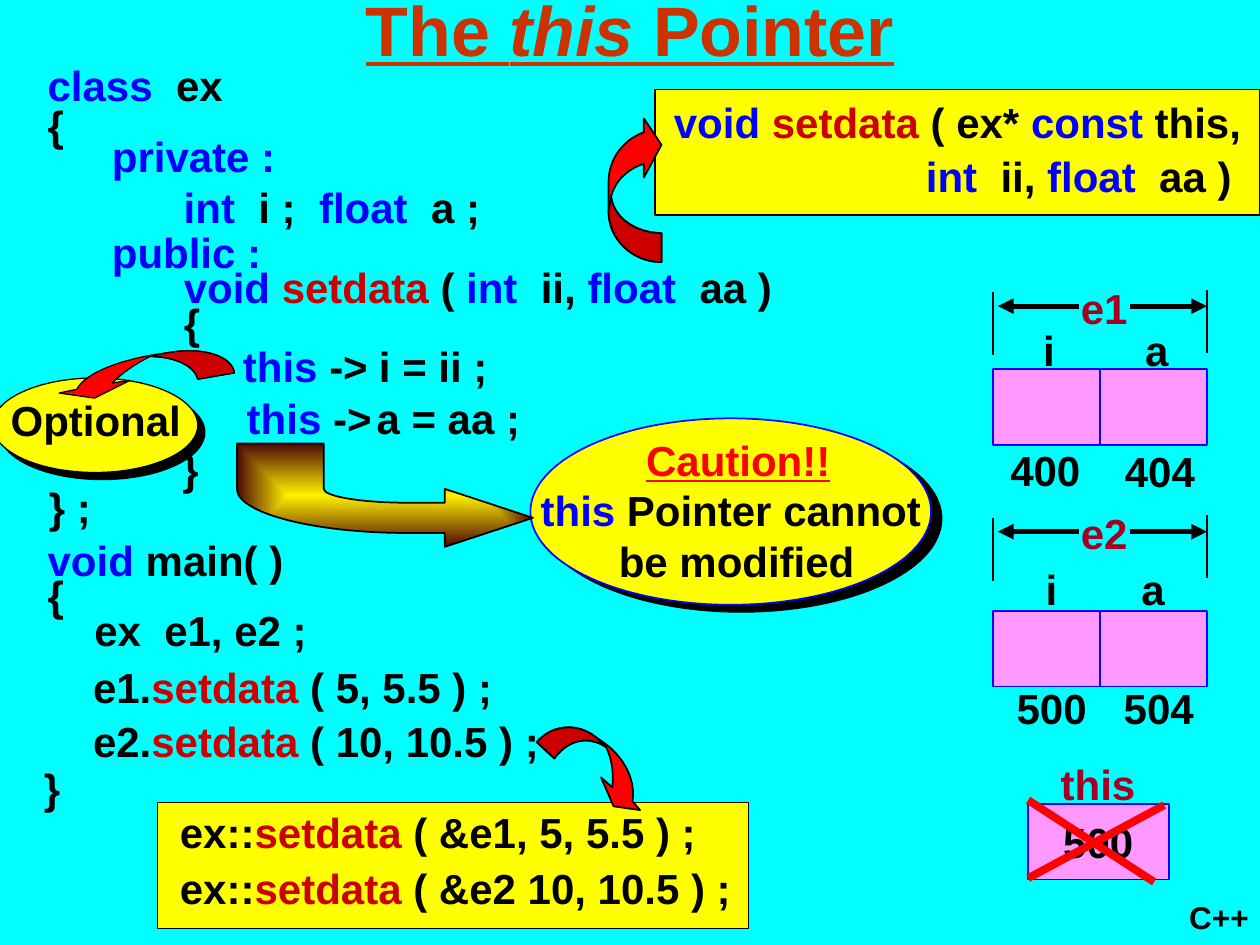
from itertools import cycle

from lxml import etree
from pptx import Presentation
from pptx import util as u
from pptx.dml.color import RGBColor
from pptx.enum import shapes, text
from pptx.oxml import ns

COLORS = {
    "cyan": "00FFFF", "blue": "0000FF", "black": "000000", "crimson": "CC0000",
    "wine": "A50021", "rust": "CC3300", "red": "FF0000", "pink": "FF99FF",
    "yellow": "FFFF00", "gold": "FFF200", "brown": "4D0808",
}
RGB = {name: RGBColor.from_string(value) for name, value in COLORS.items()}
CODE = {"name": "Arial", "size": u.Pt(24), "bold": True}
CENTER = text.PP_ALIGN.CENTER
LEFT = text.PP_ALIGN.LEFT

presentation = Presentation()
presentation.slide_width, presentation.slide_height = u.Inches(10), u.Inches(7.5)
slide = presentation.slides.add_slide(presentation.slide_layouts[5])
slide.background.fill.solid()
slide.background.fill.fore_color.rgb = RGB["cyan"]


def add_runs(paragraph, runs, **extra):
    for content, color in runs:
        for index, line in enumerate(content.split("\n")):
            if index:
                paragraph.add_line_break()
            if line:
                run = paragraph.add_run()
                run.text = line
                for name, value in {**CODE, **extra}.items():
                    setattr(run.font, name, value)
                run.font.color.rgb = RGB[color]


def add_text(box, *paragraphs, align=LEFT, spacings=(), before=15, tabs=(0.57, 1, 2), **extra):
    frame = slide.shapes.add_textbox(*map(u.Inches, box)).text_frame
    frame.word_wrap = bool(spacings)
    frame.auto_size = text.MSO_AUTO_SIZE.SHAPE_TO_FIT_TEXT
    for index, (runs, spacing) in enumerate(zip(paragraphs, cycle(spacings or (None,)))):
        paragraph = frame.add_paragraph() if index else frame.paragraphs[0]
        paragraph.alignment = align
        if spacing:
            paragraph.line_spacing = spacing
            paragraph.space_before = u.Pt(before)
        if any("\t" in content for content, color in runs):
            properties = paragraph._p.get_or_add_pPr()
            stops = etree.SubElement(properties, ns.qn("a:tabLst"))
            for stop in tabs:
                etree.SubElement(stops, ns.qn("a:tab"), pos=str(u.Inches(stop)), algn="l")
        add_runs(paragraph, runs, **extra)


title = slide.shapes.title
title_place = {"left": 2.8, "top": -0.16, "width": 4.4, "height": 0.77}
for name, value in title_place.items():
    setattr(title, name, u.Inches(value))
title.text_frame.auto_size = text.MSO_AUTO_SIZE.NONE
title.text_frame.vertical_anchor = text.MSO_ANCHOR.MIDDLE
heading = title.text_frame.paragraphs[0]
heading.alignment = CENTER
for content, italic in (("The ", False), ("this", True), (" Pointer", False)):
    add_runs(heading, [(content, "rust")], size=u.Pt(40), underline=True, italic=italic)

RECTANGLE = shapes.MSO_SHAPE.RECTANGLE
OVAL = shapes.MSO_SHAPE.OVAL
panels = [
    (RECTANGLE, (8.16, 6.38, 1.12, 0.6), "pink", "blue", 1, None),
    (RECTANGLE, (7.88, 2.93, 1.7, 0.6), "pink", "blue", 1, None),
    (RECTANGLE, (7.88, 4.85, 1.7, 0.6), "pink", "blue", 1, None),
    (RECTANGLE, (1.25, 6.37, 4.69, 1), "yellow", "black", 1, None),
    (RECTANGLE, (5.2, 0.71, 4.8, 1), "yellow", "black", 1, None),
    (OVAL, (4.21, 3.32, 3.18, 1.48), "yellow", "blue", 1, (7.2, 34)),
    (OVAL, (-0.06, 3, 1.63, 0.75), "yellow", "black", 0.75, (5.7, 45)),
]
drawn_panels = []
for kind, box, fill, outline, width, shadow in panels:
    shape = slide.shapes.add_shape(kind, *map(u.Inches, box))
    shape.fill.solid()
    shape.fill.fore_color.rgb = RGB[fill]
    shape.line.color.rgb = RGB[outline]
    shape.line.width = u.Pt(width)
    shape.shadow.inherit = False
    if shadow:
        distance, angle = shadow
        effects = shape._element.spPr.find(ns.qn("a:effectLst"))
        outer = etree.SubElement(effects, ns.qn("a:outerShdw"), dist=str(u.Pt(distance)),
                                 dir=str(angle * 60000), algn="ctr", rotWithShape="0")
        etree.SubElement(outer, ns.qn("a:srgbClr"), val=COLORS["black"])
    drawn_panels.append(shape)

add_text((0.28, 0.5, 2.22, 0.74), [("class  ", "blue"), ("ex\n{", "black")], spacings=(0.8,))
add_text((0.79, 1.16, 3.46, 0.71), [("private :", "blue")],
         [("\tint  ", "blue"), ("i ;  ", "black"), ("float  ", "blue"), ("a ;", "black")],
         spacings=(0.5,))
add_text((0.79, 1.86, 6.09, 0.94),
         [("public :\n\tvoid ", "blue"), ("setdata ", "crimson"), ("( ", "black"), ("int  ", "blue"),
          ("ii, ", "black"), ("float  ", "blue"), ("aa )\n\t{", "black")], spacings=(0.7,))
for left, top in ((1.83, 2.65), (1.86, 3.07)):
    add_text((left, top, 1.19, 0.5), [("this ", "blue"), ("->", "black")])
add_text((0.28, 4.3, 2.29, 0.94), [("void ", "blue"), ("main( )\n{\n\tex  e1, e2 ;", "black")],
         spacings=(0.7,), tabs=(0.37,))
for top, name, arguments in ((5.34, "e1.", "( 5, 5.5 ) ;"), (5.77, "e2.", "( 10, 10.5 ) ;")):
    add_text((0.64, top, 3.76, 0.34),
             [(name, "black"), ("setdata ", "crimson"), (arguments, "black")], spacings=(0.6,))
add_text((1.33, 6.49, 4.67, 0.79),
         *[[("ex::", "black"), ("setdata ", "crimson"), (arguments, "black")]
           for arguments in ("( &e1, 5, 5.5 ) ;", "( &e2 10, 10.5 ) ;")], spacings=(0.6,))
add_text((5.25, 0.83, 4.92, 0.79),
         [("void ", "blue"), ("setdata ", "crimson"), ("( ex* ", "black"), ("const", "blue"),
          (" this,", "black")],
         [("\t\t\tint  ", "blue"), ("ii, ", "black"), ("float  ", "blue"), ("aa )", "black")],
         spacings=(0.7, 0.5))
add_text((4.19, 3.8, 3.22, 0.9), [("this", "blue"), (" Pointer cannot", "black")],
         [(" be modified", "black")], align=CENTER)
add_text((5.03, 3.4, 1.66, 0.5), [("Caution!!", "red")], underline=True)
add_text((-0.33, 3.16, 2.18, 0.42), [("Optional", "black")], align=CENTER, spacings=(0.8,), before=0)
add_text((9.34, 7.08, 0.67, 0.4), [("C++", "black")], size=u.Pt(18))

labels = [
    ("}", "black", 1.35, 3.47, 0.33), ("a = aa ;", "black", 2.89, 3.07, 1.34),
    ("i = ii ;", "black", 2.91, 2.65, 1.06), ("} ;", "black", 0.29, 3.77, 0.53),
    ("}", "black", 0.25, 6, 0.33), ("e1", "wine", 8.48, 2.19, 0.57),
    ("i", "black", 8.18, 2.53, 0.29), ("a", "black", 8.99, 2.53, 0.38),
    ("400", "black", 7.92, 3.48, 0.8), ("404", "black", 8.83, 3.49, 0.8),
    ("e2", "wine", 8.48, 3.98, 0.57), ("i", "black", 8.2, 4.42, 0.29),
    ("a", "black", 8.96, 4.42, 0.38), ("500", "black", 7.97, 5.37, 0.8),
    ("504", "black", 8.82, 5.37, 0.8), ("this", "wine", 8.32, 5.97, 0.79),
    ("500", "black", 8.34, 6.43, 0.8),
]
for content, color, left, top, width in labels:
    add_text((left, top, width, 0.5), [(content, color)])

curved_arrows = [
    ("gold", 1, [(1.88, 3.52), (1.88, 3.88), (1.88, 4.07, 2.49, 4.23, 3.23, 4.23), (3.53, 4.23),
                 (3.53, 4.34), (4.23, 4.11), (3.53, 3.88), (3.53, 3.99), (3.23, 3.99),
                 (2.87, 3.99, 2.57, 3.94, 2.57, 3.88), (2.57, 3.52)], []),
    ("red", 0.75, [(1.86, 2.96), (1.84, 2.82, 1.6, 2.75, 1.33, 2.8),
                   (1, 2.84, 0.68, 2.95, 0.61, 3.09), (0.47, 3.12), (0.75, 3.16), (1.03, 3.02),
                   (0.89, 3.04), (0.95, 2.98, 1.05, 2.9, 1.19, 2.83),
                   (1.38, 2.83, 1.54, 2.9, 1.57, 3.01)],
     [(1.86, 2.96), (1.84, 2.82, 1.6, 2.75, 1.33, 2.8), (1.19, 2.83),
      (1.38, 2.83, 1.54, 2.9, 1.57, 3.01)]),
    ("red", 1, [(4.26, 5.89), (4.38, 5.75, 4.59, 5.73, 4.74, 5.86),
                (4.93, 5.97, 5.05, 6.17, 5.02, 6.36), (5.08, 6.43), (4.87, 6.4), (4.77, 6.17),
                (4.86, 6.25), (4.87, 6.14, 4.86, 6.03, 4.81, 5.93),
                (4.66, 5.83, 4.5, 5.88, 4.4, 6.02)],
     [(4.26, 5.89), (4.38, 5.75, 4.59, 5.73, 4.74, 5.86), (4.81, 5.93),
      (4.66, 5.83, 4.5, 5.88, 4.4, 6.02)]),
    ("red", 1, [(5.25, 2.08), (5.02, 2.08, 4.83, 1.9, 4.83, 1.68), (4.83, 1.44),
                (4.83, 1.27, 4.94, 1.11, 5.11, 1.05), (5.11, 0.94), (5.25, 1.15), (5.11, 1.41),
                (5.11, 1.3), (4.98, 1.34, 4.88, 1.44, 4.85, 1.56),
                (4.87, 1.73, 5.05, 1.85, 5.25, 1.85)],
     [(5.25, 2.08), (5.02, 2.08, 4.83, 1.9, 4.83, 1.68), (4.85, 1.56),
      (4.87, 1.73, 5.05, 1.85, 5.25, 1.85)]),
]
for fill, width, body, tail in curved_arrows:
    start, *corners = [tuple(map(u.Inches, step[-2:])) for step in body]
    builder = slide.shapes.build_freeform(*start)
    builder.add_line_segments(corners, close=True)
    shape = builder.convert_to_shape()
    outlines = shape._element.spPr.find(".//" + ns.qn("a:pathLst"))
    outlines.remove(outlines[0])
    for steps, shade in ((body, "norm"), (tail, "darkenLess")):
        if not steps:
            continue
        outline = etree.SubElement(outlines, ns.qn("a:path"), w=str(shape.width),
                                   h=str(shape.height), fill=shade)
        for index, step in enumerate(steps):
            tag = "a:cubicBezTo" if len(step) == 6 else "a:lnTo" if index else "a:moveTo"
            segment = etree.SubElement(outline, ns.qn(tag))
            for x, y in zip(step[::2], step[1::2]):
                etree.SubElement(segment, ns.qn("a:pt"), x=str(u.Inches(x) - shape.left),
                                 y=str(u.Inches(y) - shape.top))
        etree.SubElement(outline, ns.qn("a:close"))
    if fill == "gold":
        shape.fill.gradient()
        for stop, color in zip(shape.fill.gradient_stops, ("gold", "brown")):
            stop.color.rgb = RGB[color]
        gradient = shape._element.spPr.find(ns.qn("a:gradFill"))
        gradient.remove(gradient.find(ns.qn("a:lin")))
        center = etree.SubElement(gradient, ns.qn("a:path"), path="rect")
        etree.SubElement(center, ns.qn("a:fillToRect"), l="50000", t="50000", r="50000", b="50000")
    else:
        shape.fill.solid()
        shape.fill.fore_color.rgb = RGB[fill]
    shape.line.color.rgb = RGB["black"]
    shape.line.width = u.Pt(width)
    shape.shadow.inherit = False

lines = [((8.16, 6.35, 9.16, 7), "red", 4.5, False, None),
         ((8.16, 6.97, 9.24, 6.39), "red", 4.5, False, None)]
for top, cell in ((2.3, drawn_panels[1]), (4.09, drawn_panels[2])):
    arrow = top + 0.13
    lines += [((7.88, top + 0.02, 7.88, top + 0.52), "black", 1, False, None),
              ((9.58, top, 9.58, top + 0.5), "black", 1, False, None),
              ((7.92, arrow, 8.56, arrow), "black", 3, True, None),
              ((9.58, arrow, 8.97, arrow), "black", 3, True, None),
              ((8.73, top, 8.73, top), "blue", 1, False, cell)]
for ends, color, width, arrowhead, cell in lines:
    connector = slide.shapes.add_connector(shapes.MSO_CONNECTOR.STRAIGHT, *map(u.Inches, ends))
    if cell:
        connector.begin_connect(cell, 0)
        connector.end_connect(cell, 2)
    connector.line.color.rgb = RGB[color]
    connector.line.width = u.Pt(width)
    if arrowhead:
        etree.SubElement(connector.line._get_or_add_ln(), ns.qn("a:headEnd"), type="triangle")
    etree.SubElement(connector._element.spPr, ns.qn("a:effectLst"))

presentation.save("out.pptx")
